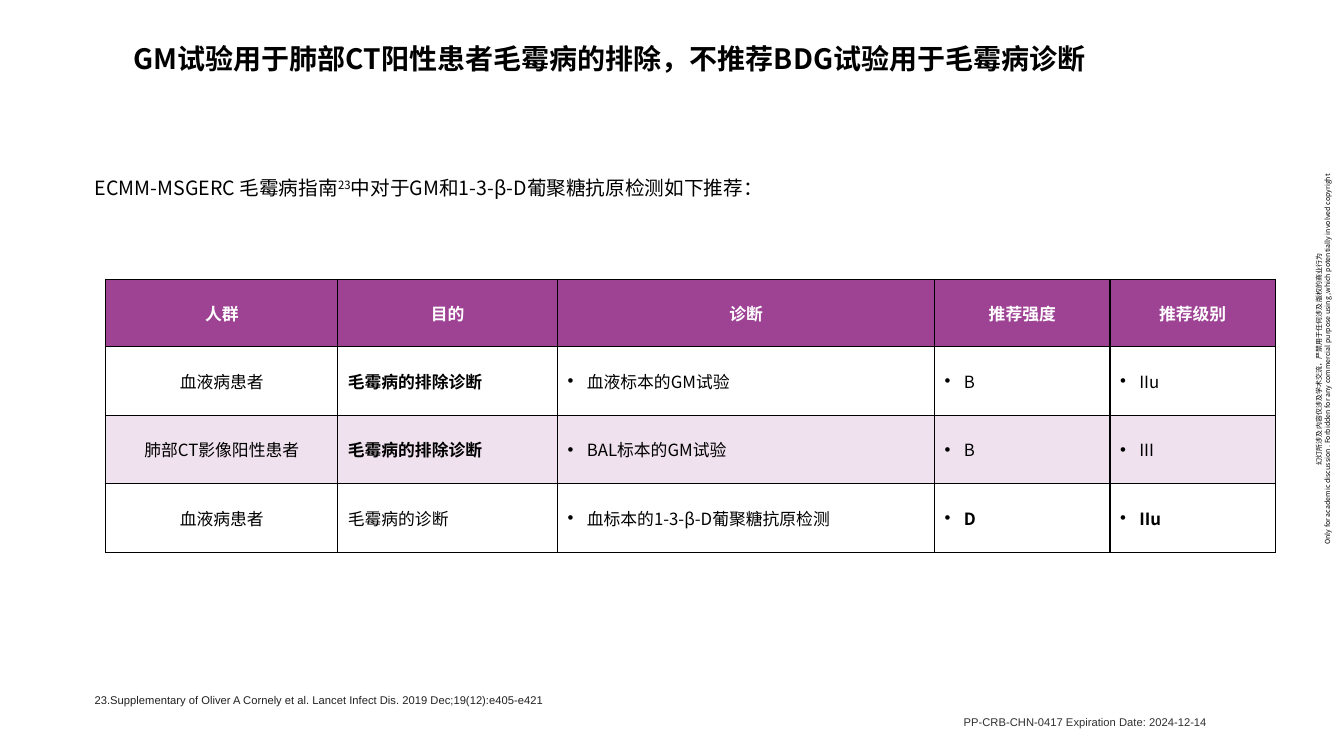
from lxml import etree
from pptx import Presentation
from pptx import util as u
from pptx.dml.color import RGBColor
from pptx.enum import shapes, text
from pptx.oxml import ns

BLACK = RGBColor(0x00, 0x00, 0x00)
WHITE = RGBColor(0xFF, 0xFF, 0xFF)
PURPLE = RGBColor(0x9E, 0x42, 0x94)
LILAC = RGBColor(0xEF, 0xE1, 0xEE)
FOOTER_GREY = RGBColor(0x30, 0x30, 0x30)
REFERENCE_GREY = RGBColor(0x21, 0x21, 0x21)
CHINESE_FONT = "Noto Sans CJK SC"
LATIN_FONT = "Arial"
LEFT, CENTER, RIGHT = text.PP_ALIGN.LEFT, text.PP_ALIGN.CENTER, text.PP_ALIGN.RIGHT

COLUMN_WIDTHS = [2.3, 2.18, 3.74, 1.74, 1.64]
ROW_HEIGHTS = [0.67, 0.68, 0.68, 0.68]
HEADERS = ["人群", "目的", "诊断", "推荐强度", "推荐级别"]
ROWS = [
    ["血液病患者", "毛霉病的排除诊断", "血液标本的GM试验", "B", "IIu"],
    ["肺部CT影像阳性患者", "毛霉病的排除诊断", "BAL标本的GM试验", "B", "III"],
    ["血液病患者", "毛霉病的诊断", "血标本的1-3-β-D葡聚糖抗原检测", "D", "IIu"],
]
BOLD_CELLS = {(1, 1), (2, 1), (3, 3), (3, 4)}


def add_element(parent, tag, **attributes):
    """Append a drawing element to a parent and return it."""
    return etree.SubElement(parent, ns.qn(tag), attributes)


def style_paragraph(paragraph, size, color, bold=False, align=LEFT, name=CHINESE_FONT):
    """Set the alignment and font of a whole paragraph."""
    paragraph.alignment = align
    font = paragraph.font
    font.size, font.bold, font.name = u.Pt(size), bold, name
    font.color.rgb = color
    add_element(font._element, "a:ea", typeface=name)


def add_bullet(paragraph):
    """Give a paragraph a round bullet with a hanging indent."""
    properties = paragraph._p.get_or_add_pPr()
    properties.set("marL", str(u.Inches(0.19)))
    properties.set("indent", str(-u.Inches(0.19)))
    add_element(properties, "a:buFont", typeface=LATIN_FONT)
    add_element(properties, "a:buChar", char="•")


def add_borders(cell):
    """Draw a thin black line on every side of a cell."""
    properties = cell._tc.get_or_add_tcPr()
    for side in ("a:lnL", "a:lnR", "a:lnT", "a:lnB"):
        line = add_element(properties, side, w=str(u.Pt(1)))
        add_element(add_element(line, "a:solidFill"), "a:srgbClr", val=str(BLACK))


def add_title(slide, left, top, width, height):
    """Place the slide title."""
    title = slide.shapes.title
    title.left, title.top, title.width, title.height = map(u.Inches, (left, top, width, height))
    frame = title.text_frame
    frame.text = "GM试验用于肺部CT阳性患者毛霉病的排除，不推荐BDG试验用于毛霉病诊断"
    frame.word_wrap = True
    frame.auto_size = text.MSO_AUTO_SIZE.NONE
    frame.vertical_anchor = text.MSO_ANCHOR.TOP
    frame.paragraphs[0].line_spacing = u.Pt(24.5)
    style_paragraph(frame.paragraphs[0], 20, BLACK, bold=True)


def add_introduction(slide, left, top, width, height):
    """Place the sentence that introduces the table."""
    shape = slide.shapes.add_shape(
        shapes.MSO_SHAPE.RECTANGLE, *map(u.Inches, (left, top, width, height)))
    shape.shadow.inherit = False
    shape.fill.solid()
    shape.fill.fore_color.rgb = WHITE
    shape.line.fill.background()
    frame = shape.text_frame
    frame.word_wrap = True
    frame.vertical_anchor = text.MSO_ANCHOR.MIDDLE
    paragraph = frame.paragraphs[0]
    parts = ["ECMM-MSGERC 毛霉病指南", "23", "中对于GM和1-3-β-D葡聚糖抗原检测如下推荐："]
    runs = [paragraph.add_run() for part in parts]
    for run, part in zip(runs, parts):
        run.text = part
        run.font.color.rgb = BLACK
    runs[1].font._element.set("baseline", "30000")
    style_paragraph(paragraph, 14, BLACK)


def add_recommendations(slide, left, top, width, height):
    """Place the table of recommendations."""
    table = slide.shapes.add_table(
        len(ROW_HEIGHTS), len(COLUMN_WIDTHS), *map(u.Inches, (left, top, width, height))).table
    table.first_row = table.horz_banding = False
    for column, column_width in zip(table.columns, COLUMN_WIDTHS):
        column.width = u.Inches(column_width)
    for row, row_height in zip(table.rows, ROW_HEIGHTS):
        row.height = u.Inches(row_height)
    for row_index, values in enumerate([HEADERS] + ROWS):
        header = row_index == 0
        for column_index, value in enumerate(values):
            cell = table.cell(row_index, column_index)
            cell.text = value
            cell.vertical_anchor = text.MSO_ANCHOR.MIDDLE
            add_borders(cell)
            if header or row_index == 2:
                cell.fill.solid()
                cell.fill.fore_color.rgb = PURPLE if header else LILAC
            else:
                cell.fill.background()
            paragraph = cell.text_frame.paragraphs[0]
            if not header and column_index >= 2:
                add_bullet(paragraph)
            style_paragraph(
                paragraph, 12, WHITE if header else BLACK,
                bold=header or (row_index, column_index) in BOLD_CELLS,
                align=CENTER if header or column_index == 0 else LEFT)


def add_note(slide, left, top, width, height, lines, wrap=True, spacing=None, **style):
    """Place a small text box and return it."""
    box = slide.shapes.add_textbox(*map(u.Inches, (left, top, width, height)))
    frame = box.text_frame
    frame.text = "\n".join(lines)
    frame.word_wrap = wrap
    for paragraph in frame.paragraphs:
        paragraph.line_spacing = spacing
        style_paragraph(paragraph, **style)
    return box


def add_copyright(slide, left, top, width, height):
    """Place the copyright notice that runs up the right edge."""
    lines = [
        "幻灯所涉及内容仅涉及学术交流，严禁用于任何涉及版权的商业行为",
        "Only for academic discussion . Forbidden for any commercial purpose using ,"
        "which potentially involved copyright",
    ]
    box = add_note(slide, left, top, width, height, lines, wrap=False,
                   spacing=u.Pt(6), size=5, color=BLACK, align=CENTER)
    box.rotation = 270


def main():
    """Build the slide and save it."""
    presentation = Presentation()
    presentation.slide_width, presentation.slide_height = u.Inches(13.33), u.Inches(7.5)
    slide = presentation.slides.add_slide(presentation.slide_layouts[5])
    add_copyright(slide, 11.11, 3.43, 4.03, 0.27)
    add_note(slide, 9.07, 7.05, 3, 0.24, ["PP-CRB-CHN-0417 Expiration Date: 2024-12-14"],
             size=8, color=FOOTER_GREY, align=RIGHT, name=LATIN_FONT)
    add_title(slide, 1.22, 0.35, 9.83, 0.44)
    add_note(slide, 0.84, 6.83, 5.6, 0.37,
             ["23.Supplementary of Oliver A Cornely et al. "
              "Lancet Infect Dis. 2019 Dec;19(12):e405-e421"],
             size=8, color=REFERENCE_GREY, name=LATIN_FONT)
    add_introduction(slide, 0.84, 1.69, 11.97, 0.34)
    add_recommendations(slide, 1.05, 2.77, 11.6, 2.71)
    presentation.save("out.pptx")


if __name__ == "__main__":
    main()
